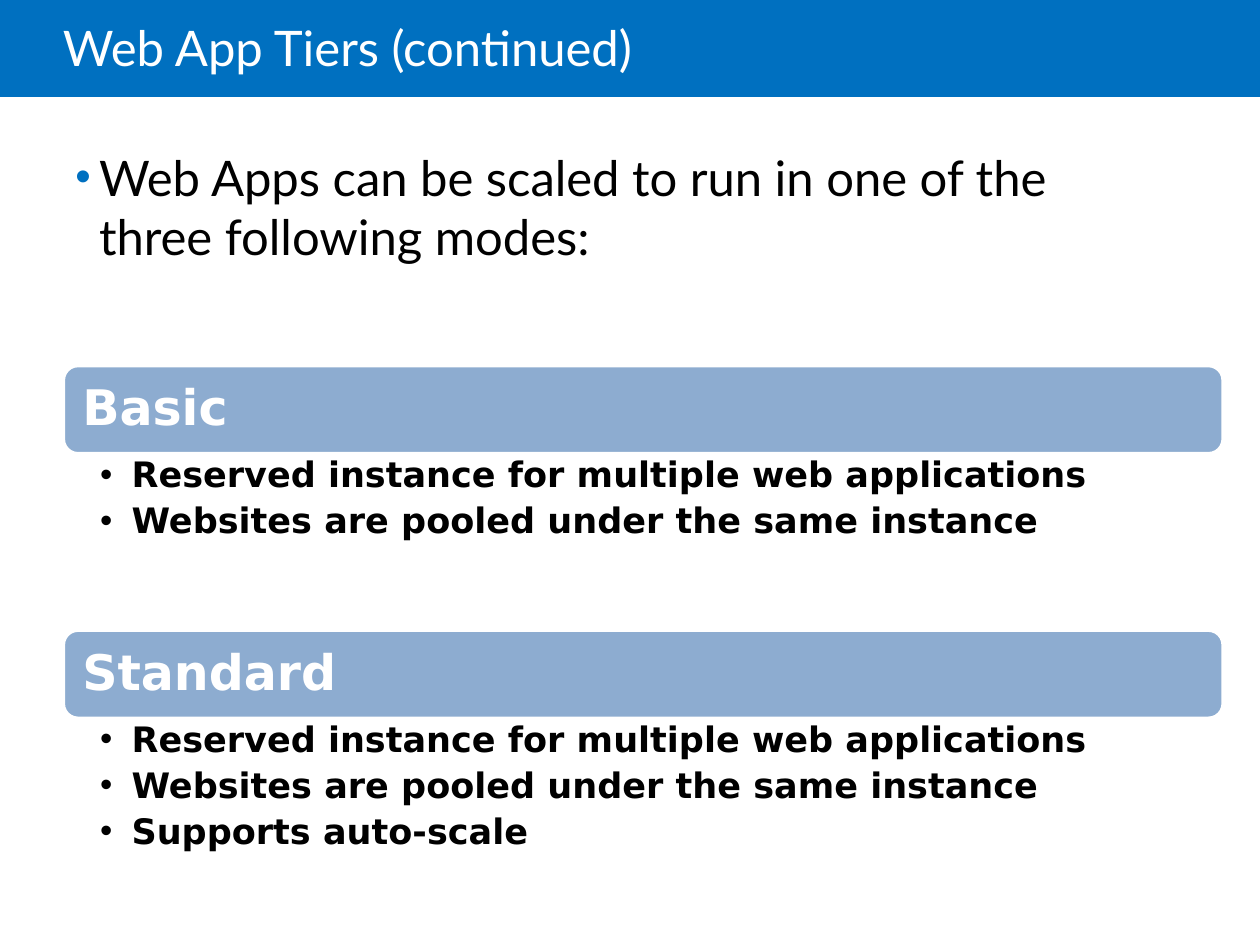
from dataclasses import dataclass

from lxml import etree
from pptx import Presentation
from pptx.dml.color import RGBColor
from pptx.enum import shapes, text
from pptx.oxml import ns
from pptx.util import Pt


@dataclass(frozen=True)
class Theme:
    blue: str = "0070C0"
    bar: str = "8DACD0"
    white: str = "FFFFFF"
    black: str = "000000"
    main_font: str = "Lato"
    tier_font: str = "DejaVu Sans"
    large: int = 28
    small: int = 20


THEME = Theme()
TIERS = [
    ("Basic", [
        "Reserved instance for multiple web applications",
        "Websites are pooled under the same instance",
    ]),
    ("Standard", [
        "Reserved instance for multiple web applications",
        "Websites are pooled under the same instance",
        "Supports auto-scale",
    ]),
]


def add_bar(s, kind, box, fill):
    sp = s.shapes.add_shape(kind, *map(Pt, box))
    sp.shadow.inherit = False
    sp.fill.solid()
    sp.fill.fore_color.rgb = RGBColor.from_string(fill)
    sp.line.fill.background()
    return sp


def add_frame(s, box, insets, anchor=text.MSO_ANCHOR.TOP):
    tf = s.shapes.add_textbox(*map(Pt, box)).text_frame
    tf.word_wrap = True
    tf.vertical_anchor = anchor
    tf.margin_left, tf.margin_top, tf.margin_right, tf.margin_bottom = map(Pt, insets)
    return tf


def add_run(p, words, font, size, color, bold=False):
    r = p.add_run()
    r.text = words
    r.font.name = font
    r.font.size = Pt(size)
    r.font.bold = bold
    r.font.color.rgb = RGBColor.from_string(color)


def set_bullet(p, indent, color=THEME.black, percent=100):
    pPr = p._p.get_or_add_pPr()
    pPr.set("marL", str(Pt(indent)))
    pPr.set("indent", str(-Pt(indent)))
    clr = etree.SubElement(pPr, ns.qn("a:buClr"))
    etree.SubElement(clr, ns.qn("a:srgbClr"), val=color)
    etree.SubElement(pPr, ns.qn("a:buSzPct"), val=str(percent * 1000))
    etree.SubElement(pPr, ns.qn("a:buFont"), typeface="Arial")
    etree.SubElement(pPr, ns.qn("a:buChar"), char="•")


def add_header(s, box, title):
    x, y, w, h = box
    add_bar(s, shapes.MSO_SHAPE.RECTANGLE, box, THEME.blue)
    tf = add_frame(s, (x + 36, y, w - 108, h + 2.9), (0, 3.6, 7.2, 3.6),
                   text.MSO_ANCHOR.MIDDLE)
    p = tf.paragraphs[0]
    p.line_spacing = 0.85
    add_run(p, title, THEME.main_font, THEME.large, THEME.white)


def add_intro(s, box, words):
    p = add_frame(s, box, (7.2, 3.6, 7.2, 3.6)).paragraphs[0]
    p.space_before = Pt(6)
    set_bullet(p, 13.5, THEME.blue, 90)
    add_run(p, words, THEME.main_font, THEME.large, THEME.black)


def add_tier(s, box, name, points):
    x, y, w, h = box
    bar_h, pad = 50.4, 2.5
    bar = add_bar(s, shapes.MSO_SHAPE.ROUNDED_RECTANGLE, (x, y, w, bar_h), THEME.bar)
    bar.line.color.rgb = RGBColor.from_string(THEME.white)
    bar.line.width = Pt(2)

    tf = add_frame(s, (x + pad, y + pad, w - 2 * pad, bar_h - 2 * pad), [8.4] * 4,
                   text.MSO_ANCHOR.MIDDLE)
    p = tf.paragraphs[0]
    p.line_spacing = 0.9
    add_run(p, name, THEME.tier_font, THEME.large, THEME.white, True)

    tf = add_frame(s, (x, y + bar_h, w, h - bar_h), (21, 2, 11.8, 2))
    for i, point in enumerate(points):
        p = tf.add_paragraph() if i else tf.paragraphs[0]
        p.line_spacing = 0.9
        p.space_after = Pt(4.7)
        set_bullet(p, 18)
        add_run(p, point, THEME.tier_font, THEME.small, THEME.black, True)


def main():
    prs = Presentation()
    prs.slide_width, prs.slide_height = Pt(720), Pt(540)
    s = prs.slides.add_slide(prs.slide_layouts[6])
    add_header(s, (0, 0, 720, 55.4), "Web App Tiers (continued)")
    add_intro(s, (36, 80.6, 639.4, 405.4),
              "Web Apps can be scaled to run in one of the three following modes:")
    top, pitch = 208.9, 151.2
    for i, (name, points) in enumerate(TIERS):
        add_tier(s, (36.2, top + i * pitch, 662.8, pitch), name, points)
    prs.save("out.pptx")


if __name__ == "__main__":
    main()
